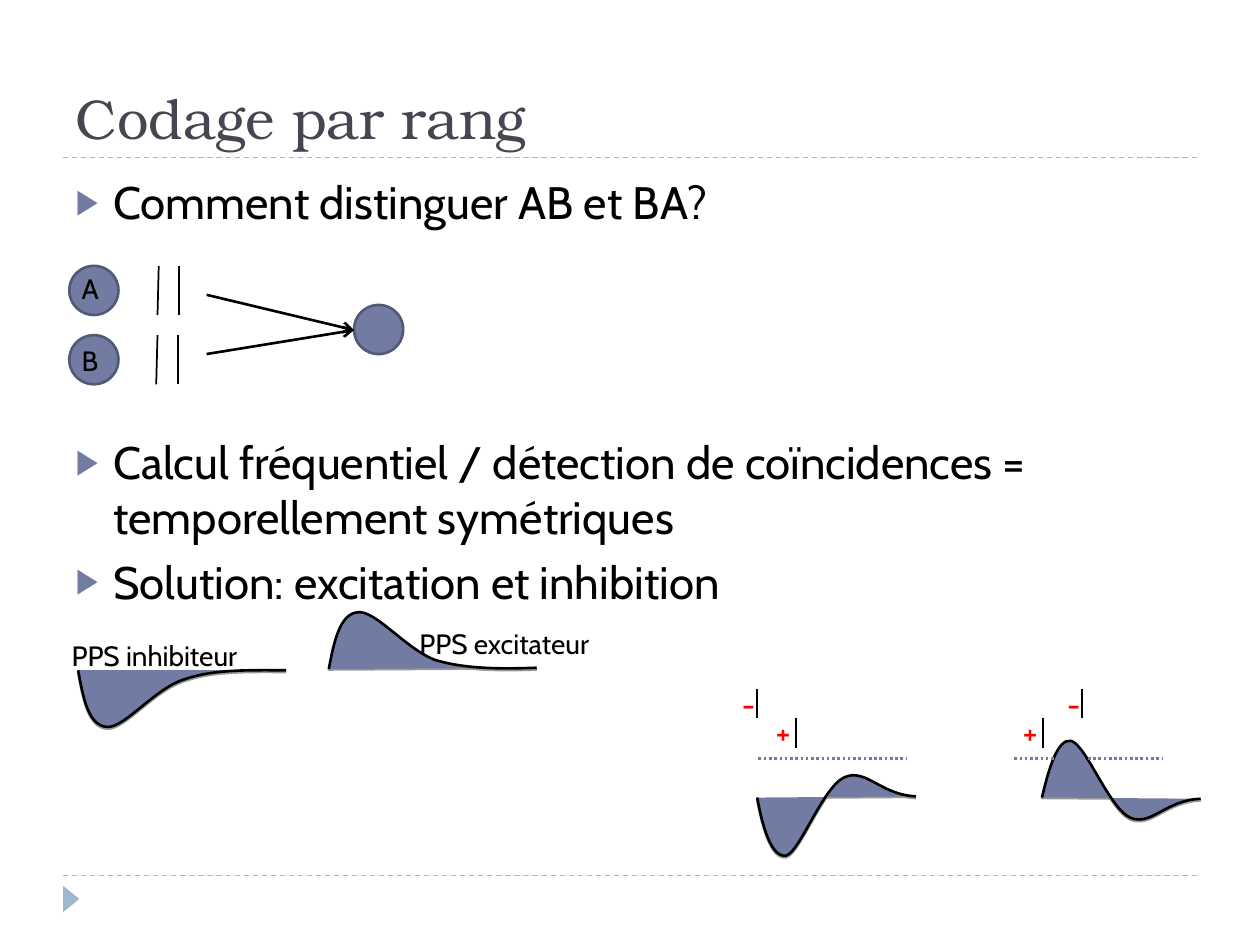
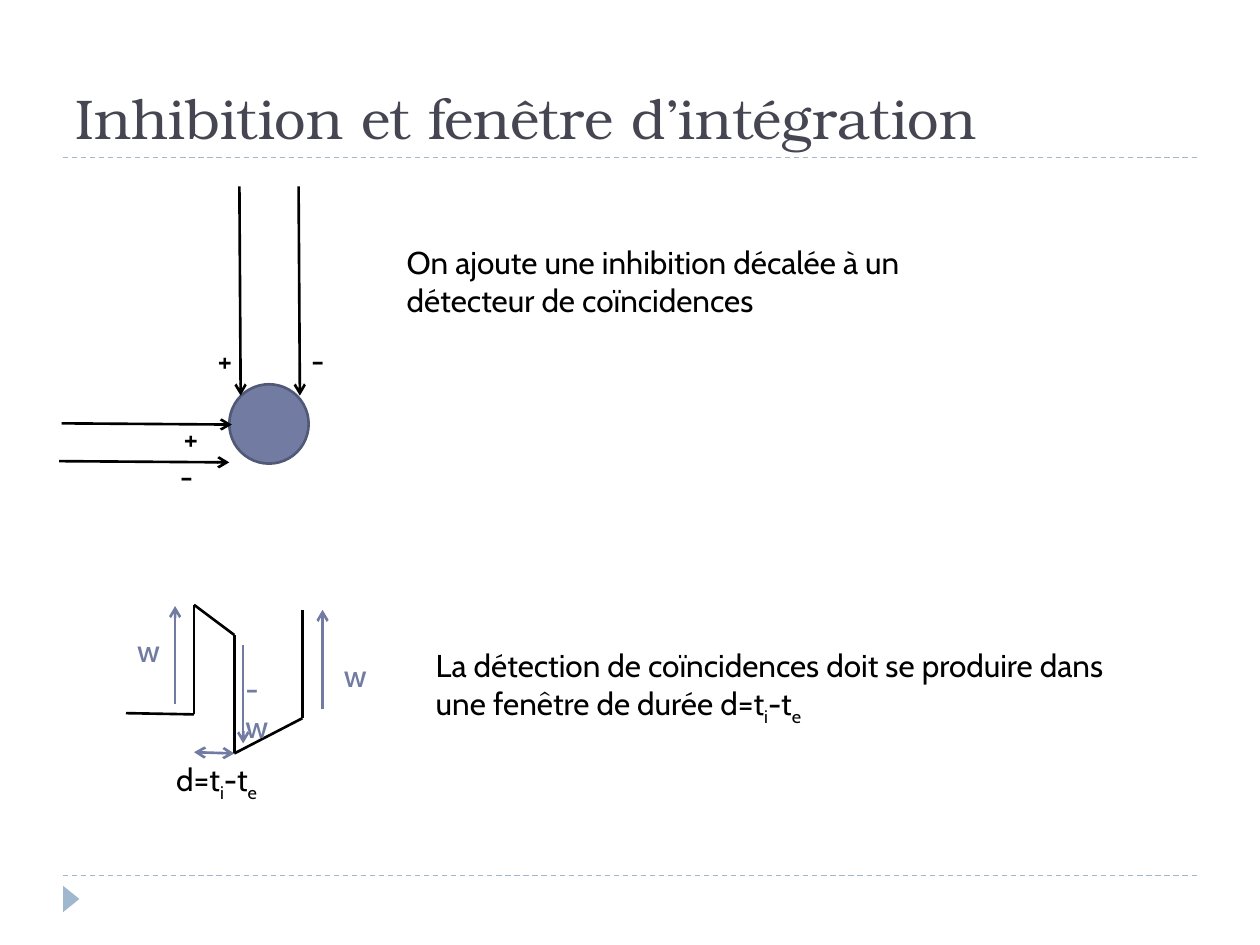
import itertools
import pptx
import pptx.dml.color
import pptx.enum.dml
import pptx.enum.shapes
import pptx.enum.text
import pptx.oxml
import pptx.oxml.ns
import pptx.util

PX = 9144
BLACK, WHITE, RED, BLUE = "000000", "FFFFFF", "FF0000", "727CA3"
OUTLINE, BAND, TITLE_COLOR = "525977", "9FB8CD", "464653"
TITLE_FONT, BODY_FONT = "TeX Gyre Bonum", "Cabin"
DASH = pptx.enum.dml.MSO_LINE.DASH
DOTS = pptx.enum.dml.MSO_LINE.ROUND_DOT
SHAPE = pptx.enum.shapes.MSO_SHAPE
AUTO = pptx.enum.text.MSO_AUTO_SIZE


def px(*lengths):
    return [length * PX for length in lengths]


def rgb(color):
    return pptx.dml.color.RGBColor.from_string(color)


def add_xml(parent, tag, attributes="", content=""):
    ns = pptx.oxml.ns.nsdecls("a")
    parent.append(pptx.oxml.parse_xml(f"<a:{tag} {ns} {attributes}>{content}</a:{tag}>"))


def set_font(p, name, size, color):
    p.font.name = name
    p.font.size = pptx.util.Pt(size)
    p.font.color.rgb = rgb(color)


def set_fill(sp, color):
    sp.fill.solid()
    sp.fill.fore_color.rgb = rgb(color)


def set_line(sp, color, width, dash=None):
    sp.line.color.rgb = rgb(color)
    sp.line.width = pptx.util.Pt(width)
    if dash:
        sp.line.dash_style = dash


def place(sp, left, top, width, height):
    sp.left, sp.top, sp.width, sp.height = px(left, top, width, height)


def add_line(s, start, end, color=BLACK, width=1.5, dash=None, arrows=()):
    kind = pptx.enum.shapes.MSO_CONNECTOR.STRAIGHT
    line = s.shapes.add_connector(kind, *px(*start, *end))
    set_line(line, color, width, dash)
    spPr = line._element.spPr
    for arrow in arrows:
        add_xml(spPr.find(pptx.oxml.ns.qn("a:ln")), arrow, 'type="arrow"')
    add_xml(spPr, "effectLst")


def add_arrow(s, start, end, color=BLACK):
    add_line(s, start, end, color, arrows=["tailEnd"])


def add_shape(s, kind, left, top, width, height, fill, outline=None):
    sp = s.shapes.add_shape(kind, *px(left, top, width, height))
    sp.shadow.inherit = False
    set_fill(sp, fill)
    if outline:
        set_line(sp, outline, 1.5)
    else:
        sp.line.fill.background()
    return sp


def add_neuron(s, left, top, size):
    add_shape(s, SHAPE.OVAL, left, top, size, size, BLUE, OUTLINE)


def add_label(s, text, left, top, width, height=40, size=18, color=BLACK, wrap=False):
    tf = s.shapes.add_textbox(*px(left, top, width, height)).text_frame
    tf.word_wrap = wrap
    tf.auto_size = AUTO.SHAPE_TO_FIT_TEXT
    p = tf.paragraphs[0]
    set_font(p, BODY_FONT, size, color)
    for i, part in enumerate(text.split("|")):
        r = p.add_run()
        r.text = part
        if i % 2:
            r.font._element.set("baseline", "-25000")
    return tf


def add_potential(s, nodes):
    builder = s.shapes.build_freeform(*px(*nodes[0]), scale=1.0)
    builder.add_line_segments([px(*node) for node in nodes[1:]], close=False)
    sp = builder.convert_to_shape()
    set_fill(sp, BLUE)
    set_line(sp, BLACK, 1.5)
    spPr = sp._element.spPr
    outline = spPr.find(".//" + pptx.oxml.ns.qn("a:path"))
    segments = list(outline)[1:]
    for i in range(0, len(segments), 3):
        add_xml(outline, "cubicBezTo")
        for segment in segments[i:i + 3]:
            outline[-1].append(segment[0])
            outline.remove(segment)
    add_xml(spPr, "effectLst", "",
            '<a:outerShdw blurRad="0" dist="12700" dir="5400000" rotWithShape="0">'
            '<a:srgbClr val="000000"><a:alpha val="40000"/></a:srgbClr></a:outerShdw>')


def add_slide(prs, layout, title):
    s = prs.slides.add_slide(prs.slide_layouts[layout])
    for y in (695, 125):
        add_line(s, (50, y), (950, y), BAND, 0.75, DASH)
    add_shape(s, SHAPE.ISOSCELES_TRIANGLE, 46, 707, 21, 13, BAND).rotation = 90
    place(s.shapes.title, 50, 17, 900, 108)
    tf = s.shapes.title.text_frame
    tf.text = title
    tf.auto_size = AUTO.NONE
    tf.vertical_anchor = pptx.enum.text.MSO_ANCHOR.BOTTOM
    p = tf.paragraphs[0]
    p.alignment = pptx.enum.text.PP_ALIGN.LEFT
    set_font(p, TITLE_FONT, 32, TITLE_COLOR)
    return s


def add_bullets(s, items):
    body = s.placeholders[1]
    place(body, 50, 133, 900, 540)
    tf = body.text_frame
    tf.auto_size = AUTO.NONE
    tf.text = "\n".join(text for text, _ in items)
    indent = 30 * PX
    for p, (_, space) in zip(tf.paragraphs, items):
        p.space_before = pptx.util.Pt(space)
        pPr = p._p.get_or_add_pPr()
        pPr.set("marL", str(indent))
        pPr.set("indent", str(-indent))
        add_xml(pPr, "buClr", "", f'<a:srgbClr val="{BLUE}"/>')
        add_xml(pPr, "buSzPct", 'val="76000"')
        add_xml(pPr, "buChar", 'char="▶"')
        set_font(p, BODY_FONT, 26, BLACK)


def add_rank_slide(prs):
    s = add_slide(prs, 1, "Codage par rang")
    add_bullets(s, [
        ("Comment distinguer AB et BA?", 0),
        ("Calcul fréquentiel / détection de coïncidences = temporellement symétriques", 117.5),
        ("Solution: excitation et inhibition", 6),
    ])
    for start, end, top in ((126, 125, 211), (141, 141, 266), (142, 142, 211), (125, 124, 266)):
        add_line(s, (start, top), (end, top + 39), width=1)
    for left, top in ((55, 211), (55, 266), (281, 242)):
        add_neuron(s, left, top, 39)
    for y in (234, 281):
        add_arrow(s, (164, y), (281, 262))
    add_label(s, "A", 55, 211, 34, 37, 16)
    add_label(s, "B", 55, 268, 34, 37, 16)

    add_potential(s, [(601, 633), (605, 655), (612, 681), (624, 679), (635, 676),
                      (653, 625), (670, 617), (687, 609), (699, 631), (727, 632)])
    add_potential(s, [(62, 532), (66, 554), (70, 576), (85, 577), (99, 578),
                      (123, 546), (147, 539), (170, 531), (199, 532), (227, 532)])
    add_potential(s, [(827, 633), (832, 612), (839, 586), (850, 588), (862, 591),
                      (880, 641), (897, 649), (914, 656), (925, 635), (953, 634)])
    add_potential(s, [(261, 531), (265, 509), (270, 487), (284, 486), (298, 484),
                      (323, 516), (346, 524), (370, 531), (398, 531), (426, 530)])
    add_label(s, "PPS inhibiteur", 47, 502, 166, 37, 16)
    add_label(s, "PPS excitateur", 323, 492, 169, 37, 16)

    for plus_spike, minus_spike, threshold in ((632, 601, 602), (828, 859, 805)):
        add_line(s, (plus_spike, 570), (plus_spike, 594), width=1)
        add_line(s, (minus_spike, 547), (minus_spike, 570), width=1)
        add_label(s, "+", plus_spike - 26, 561, 34, color=RED)
        add_label(s, "-", minus_spike - 22, 539, 28, color=RED)
        add_line(s, (threshold, 602), (threshold + 117, 602), BLUE, dash=DOTS)


def add_window_slide(prs):
    s = add_slide(prs, 5, "Inhibition et fenêtre d’intégration")
    add_shape(s, SHAPE.RECTANGLE, 197, 566, 33, 67, WHITE, WHITE)
    waveform = [(100, 566), (154, 567), (154, 480), (186, 504),
                (186, 598), (240, 570), (240, 484)]
    for start, end in itertools.pairwise(waveform):
        add_line(s, start, end)
    for x, start, end in ((139, 559, 481), (193, 512, 590), (256, 563, 484)):
        add_arrow(s, (x, start), (x, end), BLUE)
    add_label(s, "w", 99, 496, 39, color=BLUE)
    add_label(s, "-w", 185, 526, 47, color=BLUE, wrap=True).margin_right = 17 * PX
    add_label(s, "w", 263, 516, 39, color=BLUE)
    add_line(s, (154, 597), (186, 598), BLUE, arrows=["headEnd", "tailEnd"])
    add_label(s, "d=t|i|-t|e", 130, 598, 87, 44)

    add_neuron(s, 182, 305, 63)
    for x in (190, 237):
        add_arrow(s, (x, 148), (x + 1, 314))
    for x, y in ((49, 336), (47, 366)):
        add_arrow(s, (x, y), (x + 135, y + 1))
    for sign, left, top, width in (("+", 163, 266, 34), ("-", 237, 266, 28),
                                   ("+", 136, 328, 34), ("-", 133, 358, 28)):
        add_label(s, sign, left, top, width)
    add_label(s, "On ajoute une inhibition décalée à un détecteur de coïncidences",
              313, 188, 453, 70, wrap=True)
    add_label(s, "La détection de coïncidences doit se produire dans une fenêtre "
              "de durée d=t|i|-t|e", 336, 508, 562, 74, wrap=True)


def main():
    prs = pptx.Presentation()
    prs.slide_width, prs.slide_height = px(1000, 750)
    add_rank_slide(prs)
    add_window_slide(prs)
    prs.save("out.pptx")


if __name__ == "__main__":
    main()
